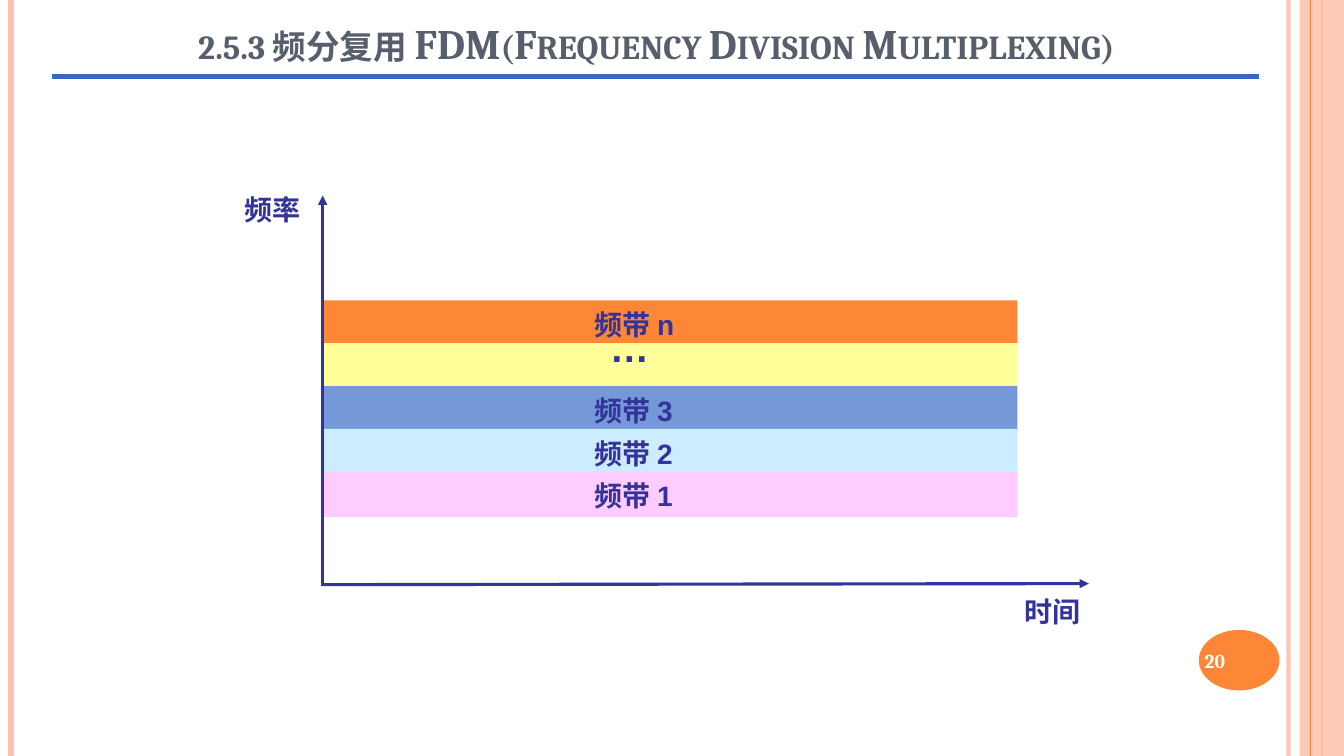
"""Build the frequency division multiplexing slide."""
from lxml import etree
from pptx import Presentation
from pptx.dml.color import RGBColor
from pptx.enum.shapes import MSO_CONNECTOR, MSO_SHAPE
from pptx.enum.text import MSO_ANCHOR, MSO_AUTO_SIZE, PP_ALIGN
from pptx.oxml.ns import qn
from pptx.util import Inches, Pt

STRAIGHT = MSO_CONNECTOR.STRAIGHT
RECTANGLE, OVAL = MSO_SHAPE.RECTANGLE, MSO_SHAPE.OVAL
MIDDLE, BOTTOM = MSO_ANCHOR.MIDDLE, MSO_ANCHOR.BOTTOM

PEACH = RGBColor(0xFE, 0xC3, 0xAE)
ORANGE = RGBColor(0xFE, 0x86, 0x37)
WHITE = RGBColor(0xFF, 0xFF, 0xFF)
RULE_BLUE = RGBColor(0x36, 0x68, 0xC4)
SLATE = RGBColor(0x57, 0x5F, 0x6D)
NAVY = RGBColor(0x33, 0x33, 0x99)
YELLOW = RGBColor(0xFF, 0xFF, 0x99)
STEEL = RGBColor(0x75, 0x98, 0xD9)
SKY = RGBColor(0xCC, 0xEC, 0xFF)
PINK = RGBColor(0xFF, 0xCC, 0xFF)

presentation = Presentation()
presentation.slide_width = Inches(13.33)
presentation.slide_height = Inches(7.5)
slide = presentation.slides.add_slide(presentation.slide_layouts[5])
shapes = slide.shapes


def add_line(x1, y1, x2, y2, color, width, arrow=False):
    line = shapes.add_connector(STRAIGHT, Inches(x1), Inches(y1), Inches(x2), Inches(y2))
    line.line.color.rgb = color
    line.line.width = Pt(width)
    if arrow:
        etree.SubElement(line.line._get_or_add_ln(), qn("a:tailEnd"), type="triangle")
    etree.SubElement(line._element.spPr, qn("a:effectLst"))
    return line


def add_block(kind, left, top, width, height, color):
    block = shapes.add_shape(kind, Inches(left), Inches(top), Inches(width), Inches(height))
    block.shadow.inherit = False
    block.fill.solid()
    block.fill.fore_color.rgb = color
    block.line.fill.background()
    return block


inner_edge = add_line(12.78, 0, 12.78, 7.5, PEACH, 3)
add_line(0.11, 0, 0.11, 7.5, PEACH, 4.5)
add_line(13.11, 0, 13.11, 7.5, ORANGE, 1.5)
side_band = add_block(RECTANGLE, 12.89, 0, 0.44, 7.5, PEACH)
add_line(13, 0, 13, 7.5, ORANGE, 0.75)
add_block(OVAL, 11.89, 6.25, 0.8, 0.6, ORANGE)
for shape, opacity in ((inner_edge, 93), (side_band, 87)):
    color_element = next(shape._element.spPr.iter(qn("a:srgbClr")))
    etree.SubElement(color_element, qn("a:alpha"), val=str(opacity * 1000))

add_line(0.52, 0.76, 12.49, 0.76, RULE_BLUE, 3.5)
title = shapes.title
title.left, title.top, title.width, title.height = map(Inches, (0.21, -0.16, 12.6, 0.88))
title.text_frame.text = "2.5.3 频分复用 FDM(Frequency Division Multiplexing)"
title.text_frame.auto_size = MSO_AUTO_SIZE.NONE
title.text_frame.vertical_anchor = BOTTOM
paragraph = title.text_frame.paragraphs[0]
paragraph.alignment = PP_ALIGN.CENTER
run = paragraph.runs[0]
run.font.name = "Cambria"
run.font.size = Pt(30)
run.font.bold = True
run.font.color.rgb = SLATE
run._r.get_or_add_rPr().set("cap", "small")

add_line(3.2, 5.8, 10.8, 5.79, NAVY, 2.25, arrow=True)

labels = [
    ("20", 11.85, 6.27, 0.89, 0.57, "Cambria", 14, WHITE),
    ("频率", 2.33, 1.9, 0.87, 0.4, "Times New Roman", 20, NAVY),
    ("时间", 10.06, 5.89, 0.87, 0.4, "Times New Roman", 20, NAVY),
]
bands = [("频带 n", ORANGE), ("…", YELLOW), ("频带 3", STEEL), ("频带 2", SKY), ("频带 1", PINK)]
for index, (text, color) in enumerate(bands):
    top = 2.98 + index * 0.425
    add_block(RECTANGLE, 3.2, top, 6.89, 0.45, color)
    if text == "…":
        labels.append((text, 5.95, 3.21, 0.67, 0.53, "Arial", 28, NAVY))
    else:
        labels.append((text, 5.8, top + 0.06, 1.15, 0.4, "Arial", 20, NAVY))

for text, left, top, width, height, font_name, size, color in labels:
    box = shapes.add_textbox(Inches(left), Inches(top), Inches(width), Inches(height))
    frame = box.text_frame
    frame.word_wrap = True
    frame.text = text
    paragraph = frame.paragraphs[0]
    paragraph.font.name = font_name
    paragraph.font.size = Pt(size)
    paragraph.font.bold = True
    paragraph.font.color.rgb = color
    if color == WHITE:
        frame.vertical_anchor = MIDDLE
    else:
        paragraph.line_spacing = 0.9

add_line(3.2, 5.81, 3.2, 1.94, NAVY, 2.25, arrow=True)

presentation.save("out.pptx")
